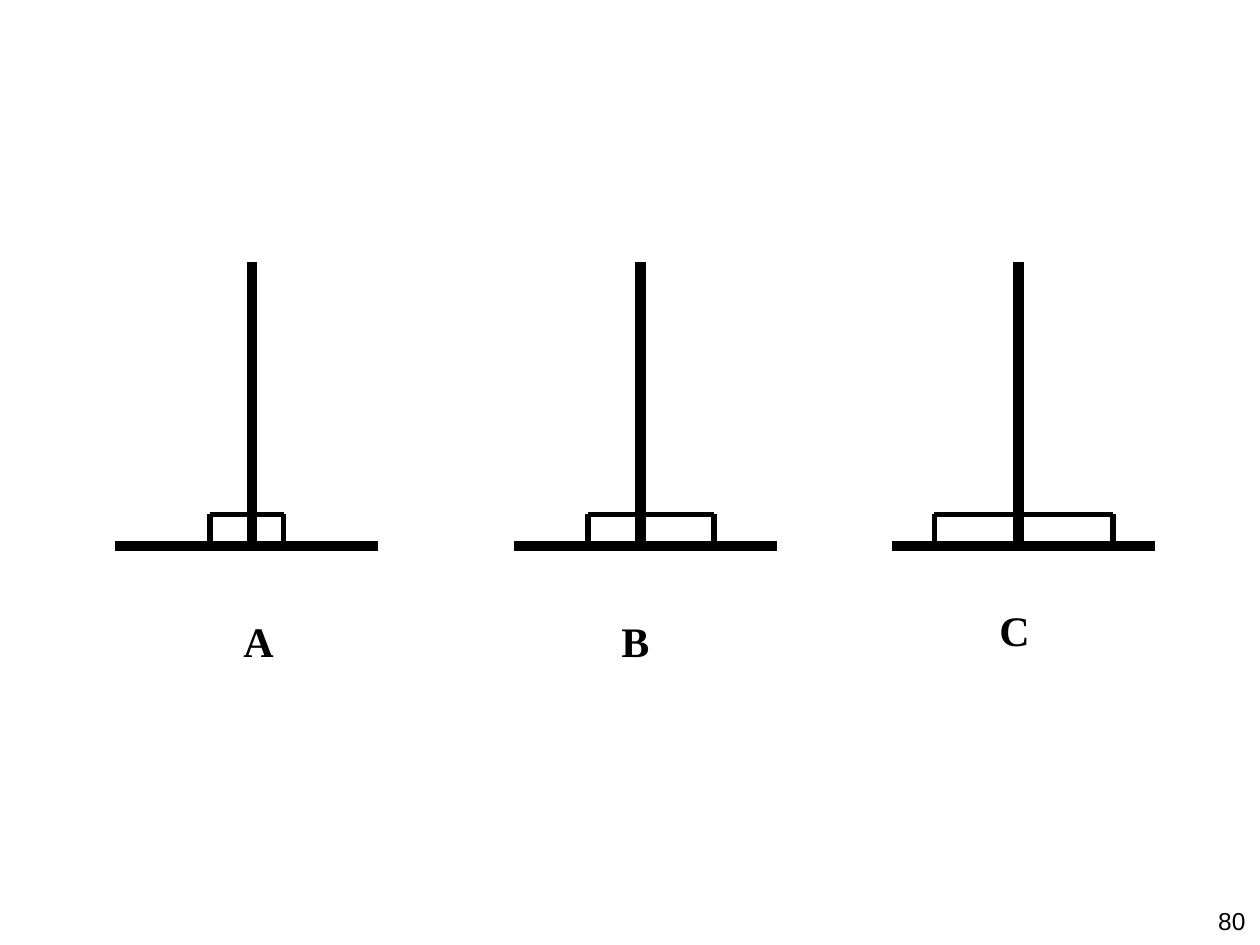
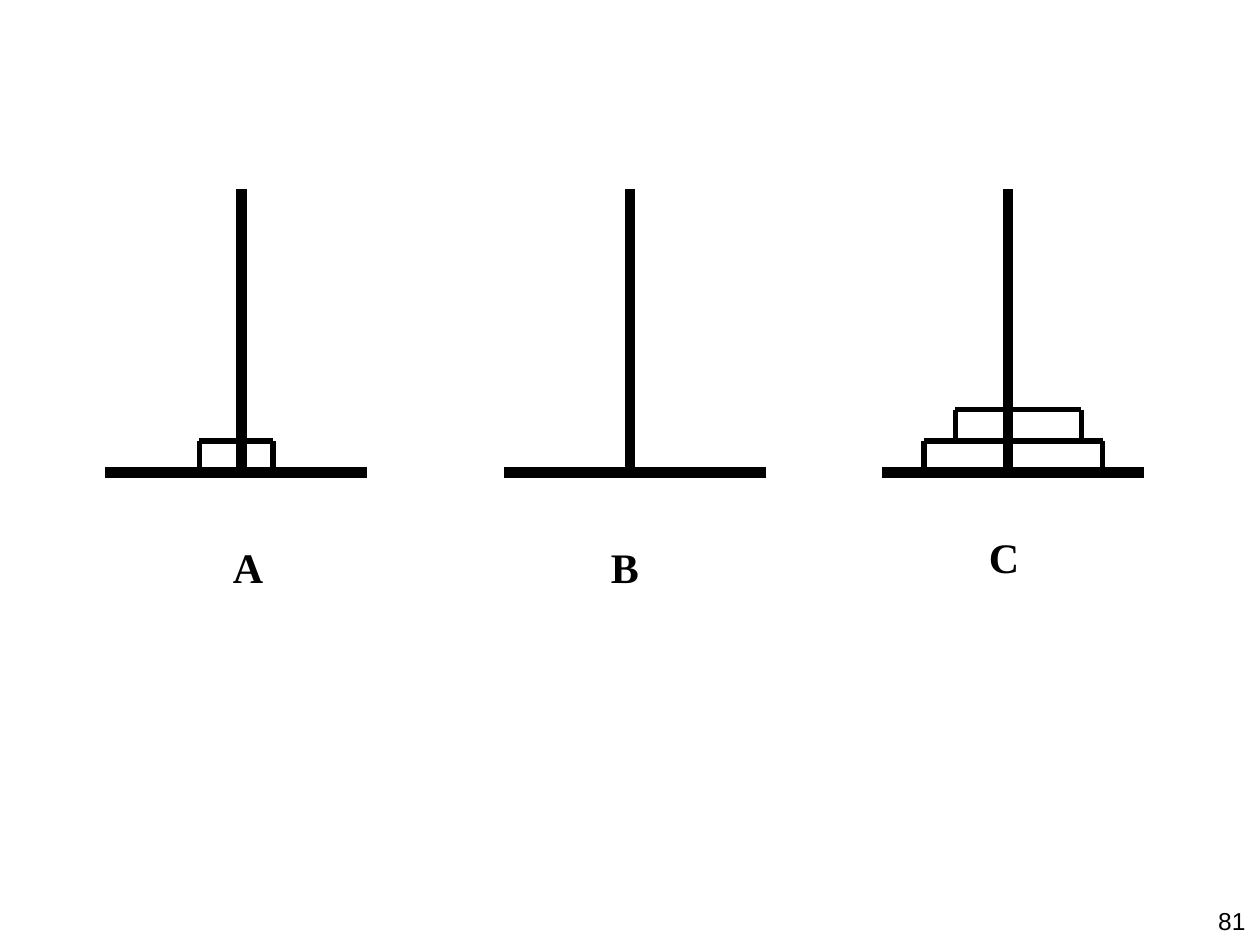
import pptx
import pptx.dml.color
import pptx.enum.shapes
import pptx.enum.text
import pptx.util
from lxml import etree
from pptx.oxml.ns import qn

Pt = pptx.util.Pt

THEME = {
    "ink": pptx.dml.color.RGBColor(0, 0, 0),
    "paper": pptx.dml.color.RGBColor(255, 255, 255),
    "label": {"name": "Times New Roman", "size": Pt(24), "bold": True},
    "number": {"name": "Arial", "size": Pt(14), "bold": False},
    "thick": 6,
    "thin": 3,
}

SLIDES = [
    {"number": "80", "origin": (66, 312),
     "discs": {"A": ["small"], "B": ["medium"], "C": ["large"]}},
    {"number": "81", "origin": (60, 270),
     "discs": {"A": ["small"], "B": [], "C": ["large", "medium"]}},
]

TOWERS = {
    "A": {"base": 0, "peg": 78, "label": (48, 36)},
    "B": {"base": 228, "peg": 300, "label": (264, 36)},
    "C": {"base": 444, "peg": 516, "label": (480, 30)},
}
DISC_REACH = {"small": (24, 18), "medium": (30, 42), "large": (48, 54)}
BASE_WIDTH = 150
PEG_HEIGHT = 162
DISC_HEIGHT = 18
LABEL_SIZE = (72, 36)
LABEL_INDENT = 18
NUMBER_FRAME = (568.8, 514, 150, 36)


def draw_line(page, start, end, width):
    line = page.shapes.add_connector(
        pptx.enum.shapes.MSO_CONNECTOR.STRAIGHT, *map(Pt, start + end))
    line.line.color.rgb = THEME["ink"]
    line.line.width = Pt(width)
    etree.SubElement(line._element.spPr, qn("a:effectLst"))


def write_text(box, text, style, alignment):
    frame = box.text_frame
    frame.word_wrap = True
    frame.vertical_anchor = pptx.enum.text.MSO_ANCHOR.TOP
    para = frame.paragraphs[0]
    para.alignment = alignment
    span = para.add_run()
    span.text = text
    for name, value in style.items():
        setattr(span.font, name, value)
    span.font.color.rgb = THEME["ink"]
    return para


def draw_disc(page, peg, bottom, size):
    reach_left, reach_right = DISC_REACH[size]
    left, right, top = peg - reach_left, peg + reach_right, bottom - DISC_HEIGHT
    for start, end in [((left, bottom), (left, top)),
                       ((right, bottom), (right, top)),
                       ((left, top), (right, top))]:
        draw_line(page, start, end, THEME["thin"])


def draw_label(page, left, top, text):
    box = page.shapes.add_shape(
        pptx.enum.shapes.MSO_SHAPE.RECTANGLE, *map(Pt, (left, top) + LABEL_SIZE))
    box.shadow.inherit = False
    box.fill.solid()
    box.fill.fore_color.rgb = THEME["paper"]
    box.line.color.rgb = THEME["paper"]
    box.line.width = Pt(0.75)
    para = write_text(box, text, THEME["label"], pptx.enum.text.PP_ALIGN.LEFT)
    properties = para._p.get_or_add_pPr()
    properties.set("marL", str(Pt(LABEL_INDENT)))
    properties.set("indent", "0")


def draw_tower(page, origin, name, discs):
    tower = TOWERS[name]
    left, floor = origin
    base, peg = left + tower["base"], left + tower["peg"]
    draw_line(page, (base, floor), (base + BASE_WIDTH, floor), THEME["thick"])
    draw_line(page, (peg, floor - PEG_HEIGHT), (peg, floor), THEME["thick"])
    for level, size in enumerate(discs):
        draw_disc(page, peg, floor - level * DISC_HEIGHT, size)
    label_left, label_drop = tower["label"]
    draw_label(page, left + label_left, floor + label_drop, name)


def main():
    deck = pptx.Presentation()
    deck.slide_width, deck.slide_height = Pt(720), Pt(540)
    for content in SLIDES:
        page = deck.slides.add_slide(deck.slide_layouts[6])
        number_box = page.shapes.add_textbox(*map(Pt, NUMBER_FRAME))
        write_text(number_box, content["number"], THEME["number"],
                   pptx.enum.text.PP_ALIGN.RIGHT)
        for name, discs in content["discs"].items():
            draw_tower(page, content["origin"], name, discs)
    deck.save("out.pptx")


if __name__ == "__main__":
    main()
